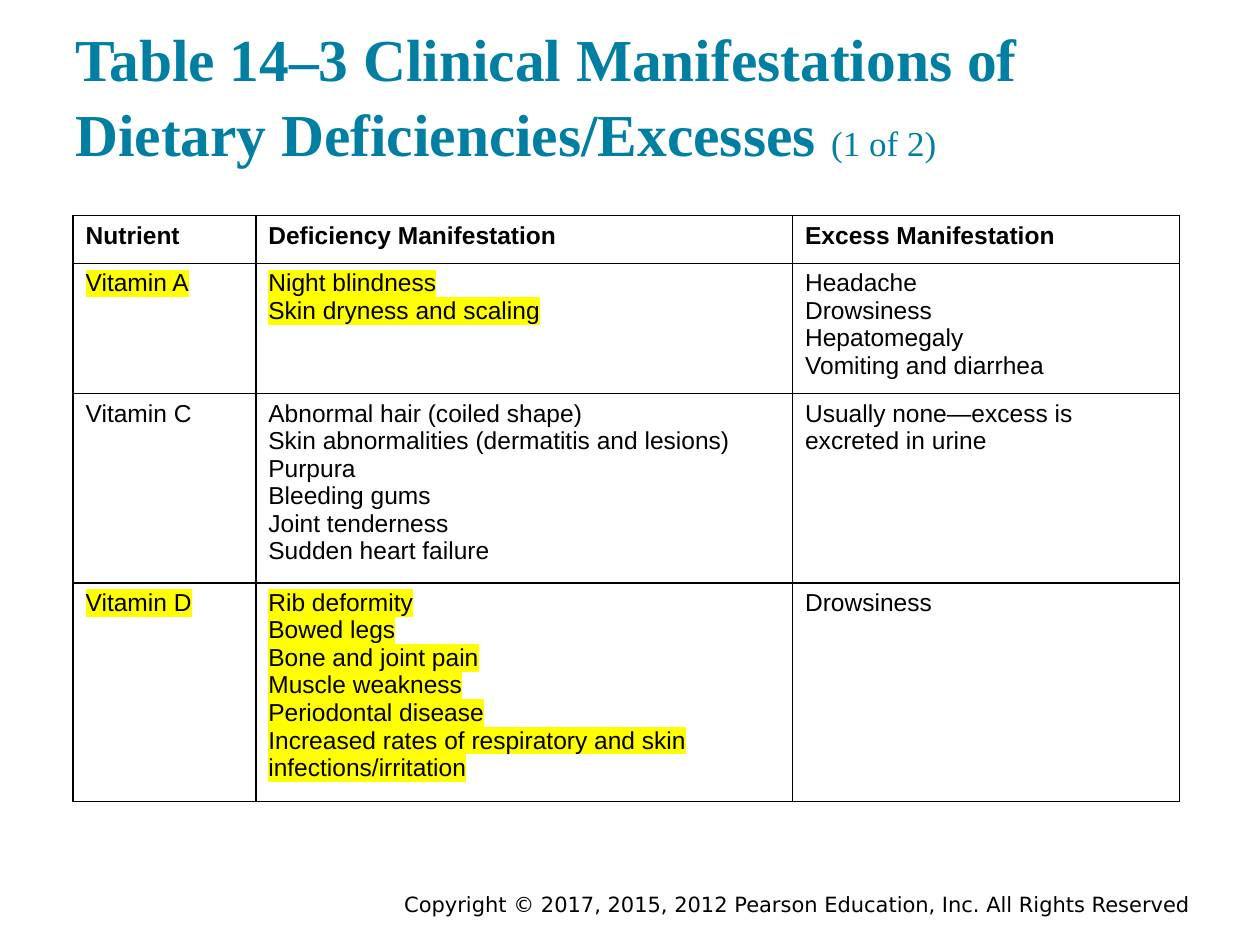
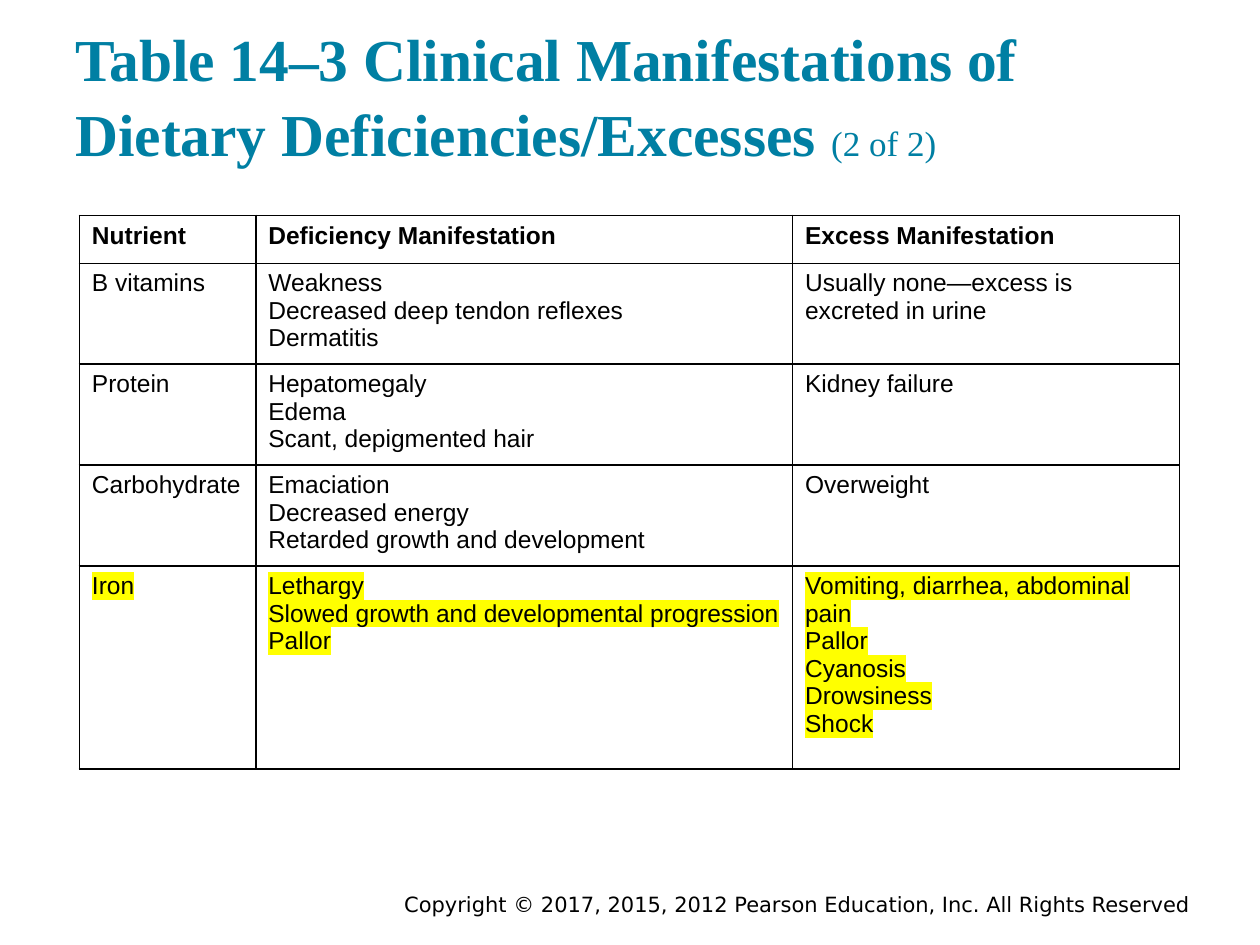
from dataclasses import dataclass

from lxml.etree import SubElement
from pptx import Presentation
from pptx.dml.color import RGBColor as RGB
from pptx.enum.text import MSO_ANCHOR as Anchor
from pptx.oxml import parse_xml
from pptx.oxml.ns import qn
from pptx.util import Inches, Pt


@dataclass(frozen=True)
class Theme:
    title_font: str = "Times New Roman"
    body_font: str = "Arial"
    footer_font: str = "DejaVu Sans"
    teal: str = "007FA3"
    black: str = "000000"
    yellow: str = "FFFF00"
    title_size: int = 34
    part_size: int = 20
    body_size: int = 14
    footer_size: int = 12


T = Theme()
TITLE = "Table 14–3 Clinical Manifestations of Dietary Deficiencies/Excesses "
FOOTER = "Copyright © 2017, 2015, 2012 Pearson Education, Inc. All Rights Reserved"
HEADER = ("Nutrient", "Deficiency Manifestation", "Excess Manifestation", 0)
NO_EXCESS = "Usually none—excess is excreted in urine"
TABLE_RIGHT = 9.36
DEFICIENCY_W, EXCESS_W = 4.26, 3.07
NS = "http://schemas.openxmlformats.org/drawingml/2006/main"

# Each row: nutrient, deficiency, excess, number of highlighted columns
SLIDES = [
    (1.45, [0.38, 0.79, 0.78, 0.78], [
        ("Vitamin A", "Night blindness\nSkin dryness and scaling",
         "Headache\nDrowsiness\nHepatomegaly\nVomiting and diarrhea", 2),
        ("Vitamin C",
         "Abnormal hair (coiled shape)\n"
         "Skin abnormalities (dermatitis and lesions)\n"
         "Purpura\nBleeding gums\nJoint tenderness\nSudden heart failure",
         NO_EXCESS, 0),
        ("Vitamin D",
         "Rib deformity\nBowed legs\nBone and joint pain\nMuscle weakness\n"
         "Periodontal disease\n"
         "Increased rates of respiratory and skin infections/irritation",
         "Drowsiness", 2),
    ]),
    (1.4, [0.38, 0.79, 0.78, 0.78, 1.61], [
        ("B vitamins", "Weakness\nDecreased deep tendon reflexes\nDermatitis",
         NO_EXCESS, 0),
        ("Protein", "Hepatomegaly\nEdema\nScant, depigmented hair",
         "Kidney failure", 0),
        ("Carbohydrate",
         "Emaciation\nDecreased energy\nRetarded growth and development",
         "Overweight", 0),
        ("Iron",
         "Lethargy\nSlowed growth and developmental progression\nPallor",
         "Vomiting, diarrhea, abdominal pain\n"
         "Pallor\nCyanosis\nDrowsiness\nShock", 3),
    ]),
]


def style(font, name, size, color, bold=False):
    font.name, font.size, font.bold = name, Pt(size), bold
    font.color.rgb = RGB.from_string(color)


def add_box(s, left, top, width, height, anchor, inset):
    tf = s.shapes.add_textbox(Inches(left), Inches(top),
                              Inches(width), Inches(height)).text_frame
    tf.word_wrap = True
    tf.vertical_anchor = anchor
    tf.margin_left = tf.margin_right = Inches(0.1)
    tf.margin_top = tf.margin_bottom = Inches(inset)
    return tf.paragraphs[0]


prs = Presentation()
prs.slide_width, prs.slide_height = Inches(10), Inches(7.5)

for number, (nutrient_w, heights, rows) in enumerate(SLIDES, 1):
    s = prs.slides.add_slide(prs.slide_layouts[6])

    p = add_box(s, 3.11, 7.08, 6.54, 0.19, Anchor.MIDDLE, 0)
    p.text = FOOTER
    style(p.font, T.footer_font, T.footer_size, T.black)

    p = add_box(s, 0.5, 0.24, 9, 1.2, Anchor.BOTTOM, 0.1)
    p.line_spacing = 1.05
    for text, size, bold in ((TITLE, T.title_size, True),
                             (f"({number} of {len(SLIDES)})", T.part_size, False)):
        r = p.add_run()
        r.text = text
        style(r.font, T.title_font, size, T.teal, bold)

    widths = [nutrient_w, DEFICIENCY_W, EXCESS_W]
    table = s.shapes.add_table(
        len(heights), len(widths), Inches(TABLE_RIGHT - sum(widths)), Inches(1.71),
        Inches(sum(widths)), Inches(sum(heights))).table
    table.first_row = table.horz_banding = False
    for column, width in zip(table.columns, widths):
        column.width = Inches(width)
    for row, height in zip(table.rows, heights):
        row.height = Inches(height)

    for i, (*texts, marked) in enumerate([HEADER] + rows):
        for j, text in enumerate(texts):
            cell = table.cell(i, j)
            cell.text = text
            tcPr = cell._tc.get_or_add_tcPr()
            for side in "LRTB":
                tcPr.append(parse_xml(
                    f'<a:ln{side} xmlns:a="{NS}" w="{Pt(1)}"><a:solidFill>'
                    f'<a:srgbClr val="{T.black}"/></a:solidFill></a:ln{side}>'))
            cell.fill.background()
            for p in cell.text_frame.paragraphs:
                style(p.font, T.body_font, T.body_size, T.black, i == 0)
                if j < marked:
                    rPr = p.runs[0]._r.get_or_add_rPr()
                    mark = SubElement(rPr, qn("a:highlight"))
                    SubElement(mark, qn("a:srgbClr"), val=T.yellow)

prs.save("out.pptx")
